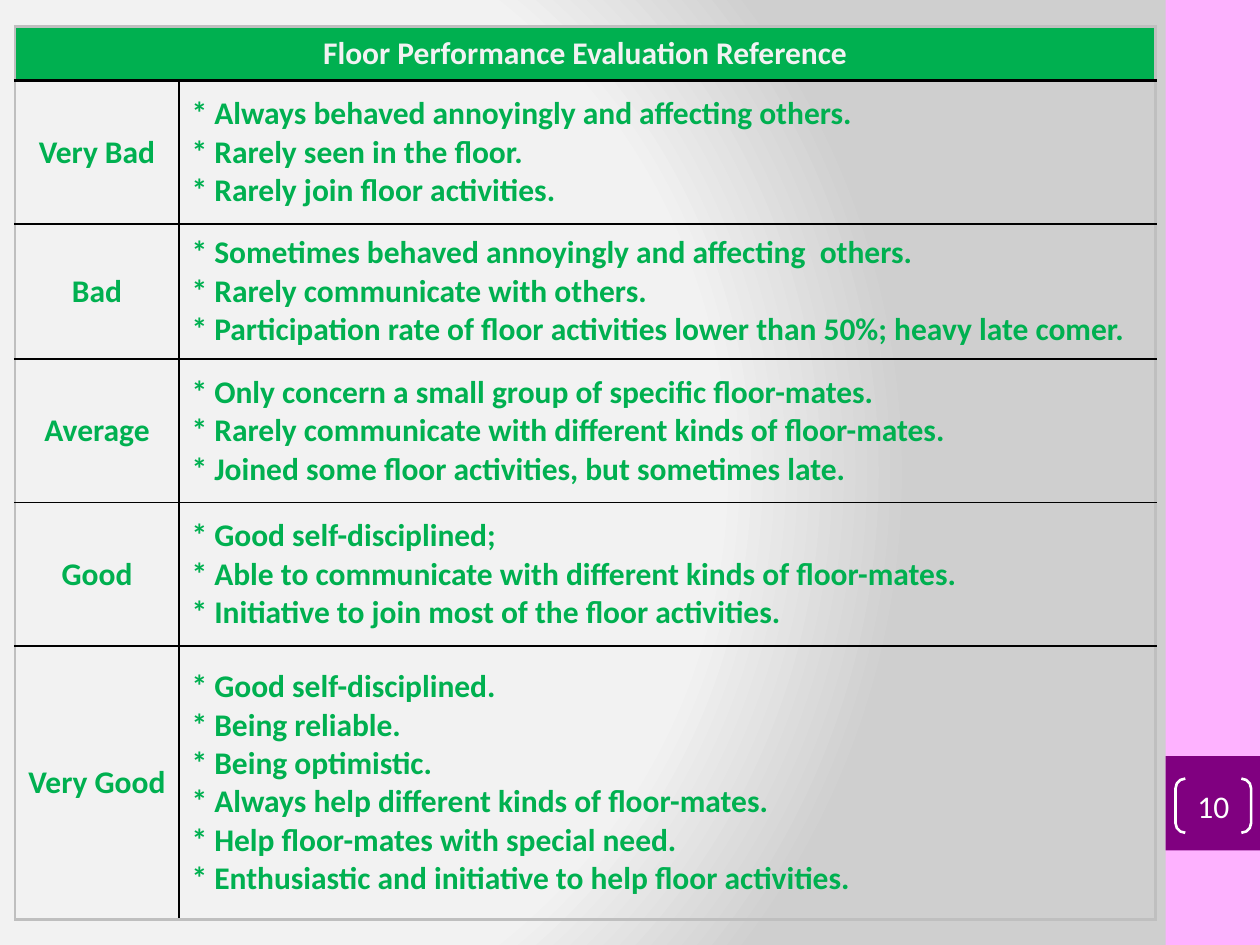
from lxml import etree
from pptx import Presentation
from pptx import util as u
from pptx.dml.color import RGBColor
from pptx.enum import shapes, text
from pptx.oxml import parse_xml
from pptx.oxml.ns import nsdecls, qn

GREEN = RGBColor(0x00, 0xB0, 0x50)
PALE = RGBColor(0xF2, 0xF2, 0xF2)
PINK = RGBColor(0xFE, 0xB2, 0xFF)
PURPLE = RGBColor(0x80, 0x00, 0x80)
WHITE = RGBColor(0xFF, 0xFF, 0xFF)
BLACK = RGBColor(0x00, 0x00, 0x00)
GREY = RGBColor(0xBF, 0xBF, 0xBF)

TITLE = "Floor Performance Evaluation Reference"
# Each level: label, row height in inches, criteria (\v is a line break)
LEVELS = [
    ("Very Bad", 1.14, ["* Always behaved annoyingly and affecting others.",
                        "* Rarely seen in the floor.",
                        "* Rarely join floor activities."]),
    ("Bad", 1.07, ["* Sometimes behaved annoyingly and affecting  others.",
                   "* Rarely communicate with others.",
                   "* Participation rate of floor activities lower than 50%; heavy late comer."]),
    ("Average", 1.14, ["* Only concern a small group of specific floor-mates.",
                       "* Rarely communicate with different kinds of floor-mates.",
                       "* Joined some floor activities, but sometimes late."]),
    ("Good", 1.14, ["* Good self-disciplined;",
                    "* Able to communicate with different kinds of floor-mates.",
                    "* Initiative to join most of the floor activities."]),
    ("Very Good", 2.17, ["* Good self-disciplined.\v* Being reliable.",
                         "* Being optimistic.",
                         "* Always help different kinds of floor-mates.",
                         "* Help floor-mates with special need.",
                         "* Enthusiastic and initiative to help floor activities."]),
]


def style_text(frame, color, bold, align):
    for para in frame.paragraphs:
        para.alignment = align
        for span in para.runs:
            span.font.name = "Calibri"
            span.font.size = u.Pt(18)
            span.font.bold = bold
            span.font.color.rgb = color


def set_borders(cell, borders):
    """Borders are (color, points) for left, right, top and bottom."""
    properties = cell._tc.get_or_add_tcPr()
    for index, (side, (color, points)) in enumerate(zip("LRTB", borders)):
        line = etree.Element(qn(f"a:ln{side}"), w=str(u.Pt(points)))
        solid = etree.SubElement(line, qn("a:solidFill"))
        etree.SubElement(solid, qn("a:srgbClr"), val=str(color))
        properties.insert(index, line)


deck = Presentation()
deck.slide_width, deck.slide_height = u.Inches(10), u.Inches(7.5)
WIDTH, HEIGHT = deck.slide_width, deck.slide_height
page = deck.slides.add_slide(deck.slide_layouts[6])

# Radial grey background
page.background.fill.solid()
plain = page.element.xpath("./p:cSld/p:bg/p:bgPr/a:solidFill")[0]
stops = "".join(f'<a:gs pos="{share * 1000}"><a:srgbClr val="{color}"/></a:gs>'
                for share, color in [(0, "F3F3F3"), (75, "F2F2F2"), (100, "CFCFCF")])
plain.getparent().replace(plain, parse_xml(
    f'<a:gradFill {nsdecls("a")} rotWithShape="1"><a:gsLst>{stops}</a:gsLst>'
    '<a:path path="circle"><a:fillToRect l="20000" t="50000" r="100000" b="50000"/>'
    '</a:path></a:gradFill>'))

# Side band and page number block
for top, height, color in [(0, 1, PINK), (0.8, 0.1, PURPLE)]:
    band = page.shapes.add_shape(
        shapes.MSO_SHAPE.RECTANGLE, int(WIDTH * 0.925), int(HEIGHT * top),
        int(WIDTH * 0.075), int(HEIGHT * height))
    band.shadow.inherit = False
    band.fill.solid()
    band.fill.fore_color.rgb = color
    band.line.fill.background()

# Evaluation table
heights = [0.43] + [height for _, height, _ in LEVELS]
table = page.shapes.add_table(
    len(heights), 2, u.Inches(0.12), u.Inches(0.21),
    u.Inches(9.05), u.Inches(sum(heights))).table
for column, width in zip(table.columns, [1.3, 7.75]):
    column.width = u.Inches(width)
for row, height in zip(table.rows, heights):
    row.height = u.Inches(height)

header = table.cell(0, 0)
header.merge(table.cell(0, 1))
header.text_frame.text = TITLE
style_text(header.text_frame, PALE, True, text.PP_ALIGN.CENTER)

for row, (label, _, criteria) in enumerate(LEVELS, start=1):
    for column, (words, align) in enumerate([(label, text.PP_ALIGN.CENTER),
                                             ("\n".join(criteria), text.PP_ALIGN.LEFT)]):
        frame = table.cell(row, column).text_frame
        frame.text = words
        style_text(frame, GREEN, True, align)

# Cell fills and rules: grey frame, black inside
frame_rule, thin_rule, thick_rule = (GREY, 1.5), (BLACK, 1), (BLACK, 1.5)
row_rules = [frame_rule, thick_rule, thin_rule, thin_rule, thin_rule, thick_rule, frame_rule]
column_rules = [frame_rule, thin_rule, frame_rule]
for row in range(len(heights)):
    for column in range(2):
        cell = table.cell(row, column)
        cell.vertical_anchor = text.MSO_ANCHOR.MIDDLE
        if row == 0:
            cell.fill.solid()
            cell.fill.fore_color.rgb = GREEN
            sides = [frame_rule, frame_rule]
        else:
            cell.fill.background()
            sides = column_rules[column:column + 2]
        set_borders(cell, sides + row_rules[row:row + 2])

# Page number in brackets
number = page.shapes.add_shape(
    shapes.MSO_SHAPE.DOUBLE_BRACKET, u.Inches(9.33), u.Inches(6.18),
    u.Inches(0.6), u.Inches(0.43))
number.adjustments[0] = 0.18
number.shadow.inherit = False
number.fill.background()
number.line.color.rgb = WHITE
number.line.width = u.Pt(1.5)
box = number.text_frame
box.margin_left = box.margin_right = box.margin_top = box.margin_bottom = 0
box.vertical_anchor = text.MSO_ANCHOR.MIDDLE
box.text = "10"
style_text(box, WHITE, False, text.PP_ALIGN.CENTER)

deck.save("out.pptx")
